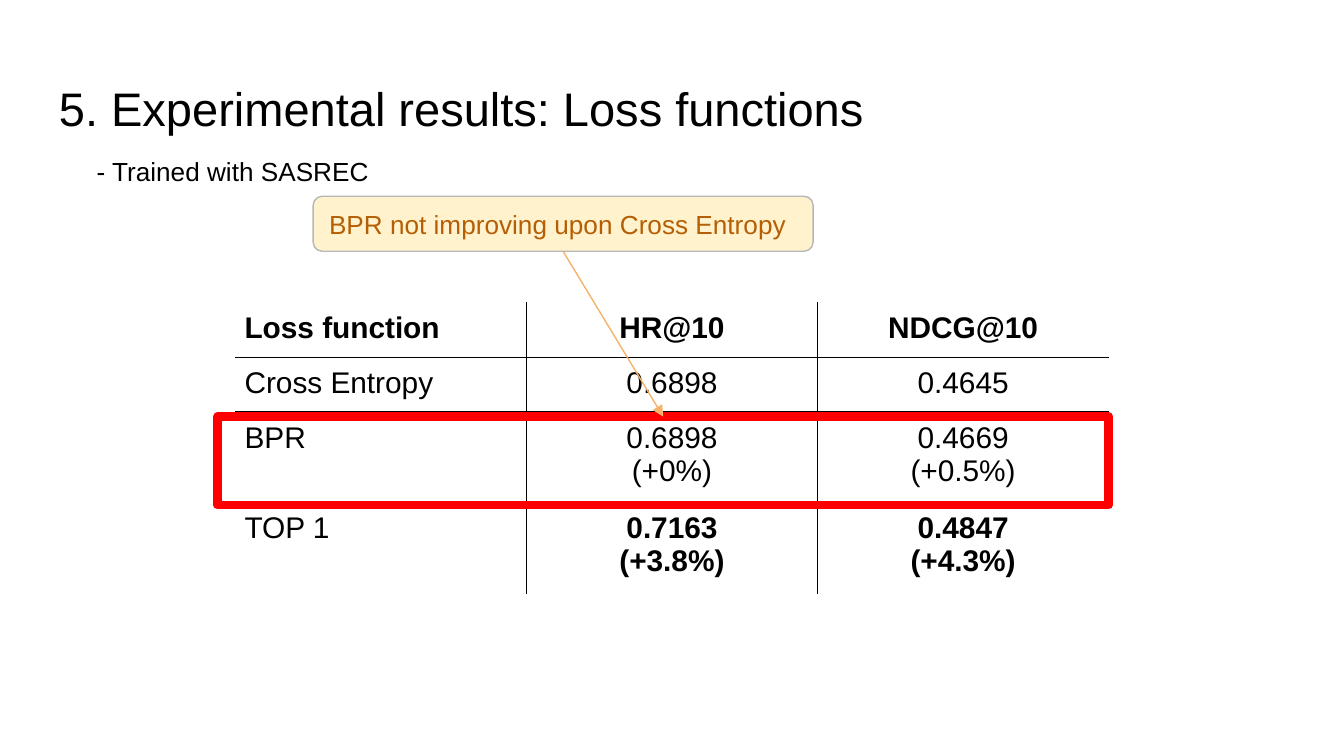
import dataclasses

import pptx
import pptx.dml.color
import pptx.enum.shapes
import pptx.enum.text
import pptx.oxml
import pptx.oxml.ns
import pptx.util
from pptx.util import Inches

ALIGN = pptx.enum.text.PP_ALIGN
ANCHOR = pptx.enum.text.MSO_ANCHOR
SHAPE = pptx.enum.shapes.MSO_SHAPE


@dataclasses.dataclass(frozen=True)
class Theme:
    font: str = "Arial"
    ink: str = "000000"
    highlight: str = "FF0000"
    note_fill: str = "FFF2CC"
    note_line: str = "B7B7B7"
    note_text: str = "B45F06"
    arrow: str = "F6B26B"
    title_size: float = 25.2
    body_size: float = 14
    table_size: float = 16


THEME = Theme()

SLIDE_WIDTH = 10
SLIDE_HEIGHT = SLIDE_WIDTH * 9 / 16

HEADER = ["Loss function", "HR@10", "NDCG@10"]
RESULTS = [
    ["Cross Entropy", "0.6898", "0.4645"],
    ["BPR", "0.6898\n(+0%)", "0.4669\n(+0.5%)"],
    ["TOP 1", "0.7163\n(+3.8%)", "0.4847\n(+4.3%)"],
]
ROW_HEIGHTS = [0.41, 0.4, 0.67, 0.68]


def rgb(value):
    return pptx.dml.color.RGBColor.from_string(value)


def apply_format(target, values):
    for name, value in values.items():
        setattr(target, name, value)


def margins(horizontal, vertical):
    return {
        "margin_left": Inches(horizontal), "margin_right": Inches(horizontal),
        "margin_top": Inches(vertical), "margin_bottom": Inches(vertical),
    }


def write(frame, text, size, color=THEME.ink, bold=False, align=ALIGN.LEFT):
    """Fill a text frame, one paragraph for each line of text."""
    frame.text = text
    for paragraph in frame.paragraphs:
        paragraph.alignment = align
        font = paragraph.runs[0].font
        apply_format(font, {"name": THEME.font, "size": pptx.util.Pt(size), "bold": bold})
        font.color.rgb = rgb(color)


def add_label(slide, box, text, size, inset):
    label = slide.shapes.add_textbox(*map(Inches, box))
    apply_format(label.text_frame, {"word_wrap": True, **margins(0.1, inset)})
    write(label.text_frame, text, size)


def add_box(slide, kind, box, line, width, fill=None):
    shape = slide.shapes.add_shape(kind, *map(Inches, box))
    shape.shadow.inherit = False
    if fill:
        shape.fill.solid()
        shape.fill.fore_color.rgb = rgb(fill)
    else:
        shape.fill.background()
    shape.line.color.rgb = rgb(line)
    shape.line.width = pptx.util.Pt(width)
    return shape


def set_borders(cell, visible):
    """Draw the named sides (L, R, T, B) and clear the others."""
    properties = cell._tc.get_or_add_tcPr()
    for position, side in enumerate("LRTB"):
        paint = (f'<a:solidFill><a:srgbClr val="{THEME.ink}"/></a:solidFill>'
                 if side in visible else "<a:noFill/>")
        border = pptx.oxml.parse_xml(
            f'<a:ln{side} {pptx.oxml.ns.nsdecls("a")} w="{pptx.util.Pt(1)}">{paint}</a:ln{side}>')
        properties.insert(position, border)


def add_results_table(slide):
    rows = [HEADER] + RESULTS
    last_row, last_column = len(rows) - 1, len(HEADER) - 1
    table = slide.shapes.add_table(
        len(rows), len(HEADER),
        Inches(1.75), Inches(2.25), Inches(6.5), Inches(sum(ROW_HEIGHTS))).table
    apply_format(table, {"first_row": False, "horz_banding": False})
    for row, height in zip(table.rows, ROW_HEIGHTS):
        row.height = Inches(height)

    for r, values in enumerate(rows):
        for c, text in enumerate(values):
            cell = table.cell(r, c)
            apply_format(cell, margins(0.07, 0.07))
            cell.fill.background()
            # Only the inner grid lines show
            inner = {"L": c > 0, "R": c < last_column, "T": r > 0, "B": r < last_row}
            set_borders(cell, [side for side, shown in inner.items() if shown])
            best = r == last_row and c > 0
            write(cell.text_frame, text, THEME.table_size, bold=r == 0 or best,
                  align=ALIGN.CENTER if c else ALIGN.LEFT)


def add_note(slide, box, text):
    note = add_box(slide, SHAPE.FLOWCHART_ALTERNATE_PROCESS, box,
                   THEME.note_line, 0.75, THEME.note_fill)
    apply_format(note.text_frame, {
        "word_wrap": True, "vertical_anchor": ANCHOR.MIDDLE, **margins(0.1, 0.1)})
    write(note.text_frame, text, THEME.body_size, THEME.note_text, align=ALIGN.JUSTIFY)
    return note


def add_arrow(slide, source, target):
    """Point from the bottom of source to the top of target."""
    arrow = slide.shapes.add_connector(
        pptx.enum.shapes.MSO_CONNECTOR.STRAIGHT, 0, 0, 0, 0)
    arrow.begin_connect(source, 2)
    arrow.end_connect(target, 0)
    arrow.line.color.rgb = rgb(THEME.arrow)
    arrow.line.width = pptx.util.Pt(0.75)
    namespace = pptx.oxml.ns.nsdecls("a")
    arrow.line._get_or_add_ln().append(
        pptx.oxml.parse_xml(f'<a:tailEnd {namespace} type="triangle"/>'))
    arrow._element.spPr.append(pptx.oxml.parse_xml(f"<a:effectLst {namespace}/>"))


def main():
    deck = pptx.Presentation()
    apply_format(deck, {"slide_width": Inches(SLIDE_WIDTH),
                        "slide_height": Inches(SLIDE_HEIGHT)})
    slide = deck.slides.add_slide(deck.slide_layouts[6])

    # Heading
    add_label(slide, (0.34, 0.49, 9.32, 0.63),
              "5. Experimental results: Loss functions", THEME.title_size, 0.1)
    add_label(slide, (0.62, 1.11, 4.02, 0.34),
              "- Trained with SASREC", THEME.body_size, 0.05)

    # Results, with the BPR row marked
    add_results_table(slide)
    bpr_frame = add_box(slide, SHAPE.RECTANGLE, (1.62, 3.1, 6.63, 0.66), THEME.highlight, 4.5)
    bpr_frame.line._get_or_add_ln().append(
        pptx.oxml.parse_xml(f'<a:round {pptx.oxml.ns.nsdecls("a")}/>'))

    # Remark on the BPR row
    remark = add_note(slide, (2.33, 1.46, 3.72, 0.41), "BPR not improving upon Cross Entropy")
    add_arrow(slide, remark, bpr_frame)

    deck.save("out.pptx")


if __name__ == "__main__":
    main()
